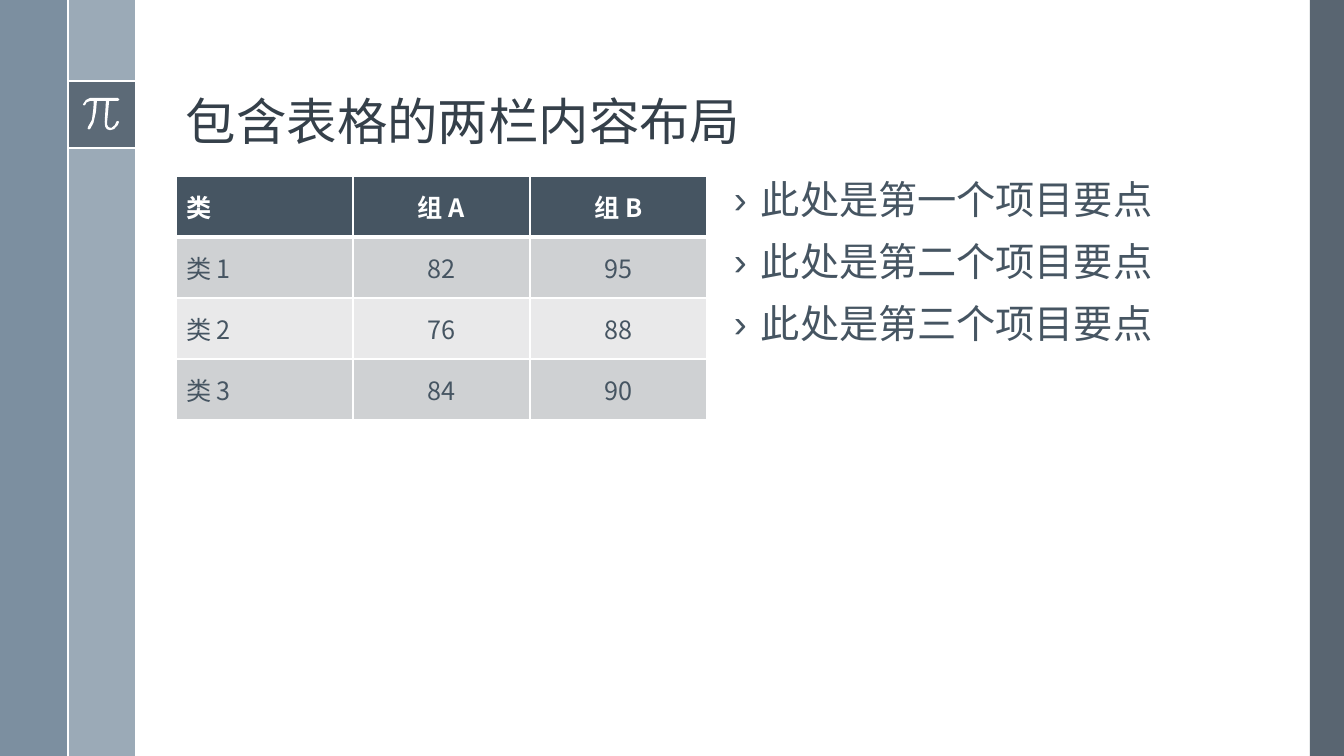
from lxml.etree import SubElement
from pptx import Presentation
from pptx.dml.color import RGBColor
from pptx.enum.shapes import MSO_CONNECTOR, MSO_SHAPE
from pptx.enum.text import MSO_ANCHOR, PP_ALIGN
from pptx.oxml.ns import qn
from pptx.util import Emu, Pt

EMU_PER_PX = 914400 / 100.8
WIDTH, HEIGHT = 1344, 756
COLORS = {
    "white": "FFFFFF", "slate": "475562", "blue": "6A8093", "mist": "9BAAB7",
    "title": "35404A", "text": "465562", "band dark": "CFD1D3", "band light": "E9E9EA",
}
CJK_FONT = "Noto Sans CJK SC"

ROWS = [("类", "组 A", "组 B"), ("类 1", "82", "95"), ("类 2", "76", "88"), ("类 3", "84", "90")]
BULLETS = ["此处是第一个项目要点", "此处是第二个项目要点", "此处是第三个项目要点"]

# Outline of the pi sign, in tenths of a px
PI_OUTLINE = [
    (350, 0), (70, 0), (30, 20), (10, 50), (0, 65), (8, 75), (22, 72), (35, 45),
    (70, 30), (108, 30), (105, 100), (90, 220), (50, 290), (48, 308), (60, 315),
    (72, 310), (105, 250), (130, 140), (140, 30), (230, 30), (218, 240), (222, 285),
    (240, 312), (270, 322), (310, 312), (345, 275), (362, 240), (352, 230), (335, 235),
    (320, 270), (285, 300), (255, 292), (243, 270), (242, 240), (262, 30), (350, 30),
    (365, 15),
]


def px(value):
    return Emu(round(value * EMU_PER_PX))


def rgb(name):
    return RGBColor.from_string(COLORS[name])


def paint(shape, color, opacity=100):
    shape.shadow.inherit = False
    shape.fill.solid()
    shape.fill.fore_color.rgb = rgb(color)
    shape.line.fill.background()
    if opacity < 100:
        color_element = shape._element.spPr.find(qn("a:solidFill"))[0]
        SubElement(color_element, qn("a:alpha"), val=str(opacity * 1000))


def add_block(slide, left, top, width, height, color, opacity=100):
    shape = slide.shapes.add_shape(MSO_SHAPE.RECTANGLE, px(left), px(top), px(width), px(height))
    paint(shape, color, opacity)


def add_rule(slide, x1, y1, x2, y2):
    connector = slide.shapes.add_connector(
        MSO_CONNECTOR.STRAIGHT, px(x1), px(y1), px(x2), px(y2))
    connector.line.color.rgb = rgb("white")
    connector.line.width = Pt(1.5)
    SubElement(connector._element.spPr, qn("a:effectLst"))


def add_pi(slide, left, top):
    builder = slide.shapes.build_freeform(*PI_OUTLINE[0], scale=EMU_PER_PX / 10)
    builder.add_line_segments(PI_OUTLINE[1:], close=True)
    paint(builder.convert_to_shape(px(left), px(top)), "white")


def set_font(paragraph, name, size, color, bold=False):
    font = paragraph.font
    font.name, font.size, font.bold = name, Pt(size), bold
    font.color.rgb = rgb(color)
    properties = paragraph._p.pPr.find(qn("a:defRPr"))
    SubElement(properties, qn("a:ea"), typeface=CJK_FONT)


def add_bullet(paragraph):
    properties = paragraph._p.get_or_add_pPr()
    properties.set("marL", str(px(27)))
    properties.set("indent", str(-px(27)))
    SubElement(properties, qn("a:buFont"), typeface="Arial")
    SubElement(properties, qn("a:buChar"), char="›")


def add_text(slide, left, top, width, height, lines, size, color, anchor, bulleted=False):
    box = slide.shapes.add_textbox(px(left), px(top), px(width), px(height))
    frame = box.text_frame
    frame.word_wrap = True
    frame.vertical_anchor = anchor
    for index, line in enumerate(lines):
        paragraph = frame.add_paragraph() if index else frame.paragraphs[0]
        paragraph.text = line
        paragraph.line_spacing = 0.9
        if bulleted:
            paragraph.space_before = Pt(14)
            add_bullet(paragraph)
        set_font(paragraph, "Arial", size, color)


def set_borders(cell, top, bottom):
    properties = cell._tc.get_or_add_tcPr()
    for side, width in (("L", 1), ("R", 1), ("T", top), ("B", bottom)):
        line = SubElement(properties, qn(f"a:ln{side}"), w=str(Pt(width)))
        fill = SubElement(line, qn("a:solidFill"))
        SubElement(fill, qn("a:srgbClr"), val=COLORS["white"])


def add_score_table(slide, left, top, column_width, row_height):
    columns = len(ROWS[0])
    table = slide.shapes.add_table(
        len(ROWS), columns, px(left), px(top),
        px(column_width * columns), px(row_height * len(ROWS))).table
    for row_index, row in enumerate(ROWS):
        header = row_index == 0
        band = "text" if header else "band dark" if row_index % 2 else "band light"
        for column_index, value in enumerate(row):
            cell = table.cell(row_index, column_index)
            cell.text = value
            cell.vertical_anchor = MSO_ANCHOR.MIDDLE
            # A thicker rule separates the header from the body
            set_borders(cell, 3 if row_index == 1 else 1, 3 if header else 1)
            cell.fill.solid()
            cell.fill.fore_color.rgb = rgb(band)
            paragraph = cell.text_frame.paragraphs[0]
            paragraph.alignment = PP_ALIGN.CENTER if column_index else PP_ALIGN.LEFT
            set_font(paragraph, CJK_FONT, 18, "white" if header else "text", header)


def main():
    presentation = Presentation()
    presentation.slide_width, presentation.slide_height = px(WIDTH), px(HEIGHT)
    slide = presentation.slides.add_slide(presentation.slide_layouts[6])

    # Side bars and the pi badge
    add_block(slide, 1310, 0, 34, HEIGHT, "slate", 90)
    add_block(slide, 68, 0, 67, HEIGHT, "mist")
    add_block(slide, 0, 0, 68, HEIGHT, "blue", 88)
    add_block(slide, 68, 81, 67, 67, "slate", 75)
    for y in (81, 148):
        add_rule(slide, 68, y, 135, y)
    add_pi(slide, 83, 98)
    add_rule(slide, 68, 0, 68, HEIGHT)

    # Title, table and bullet list
    add_text(slide, 176, 19, 1079, 137, ["包含表格的两栏内容布局"], 36, "title", MSO_ANCHOR.BOTTOM)
    add_score_table(slide, 176, 176, 177, 61)
    add_text(slide, 724, 176, 531, 504, BULLETS, 28, "text", MSO_ANCHOR.TOP, bulleted=True)

    presentation.save("out.pptx")


if __name__ == "__main__":
    main()
